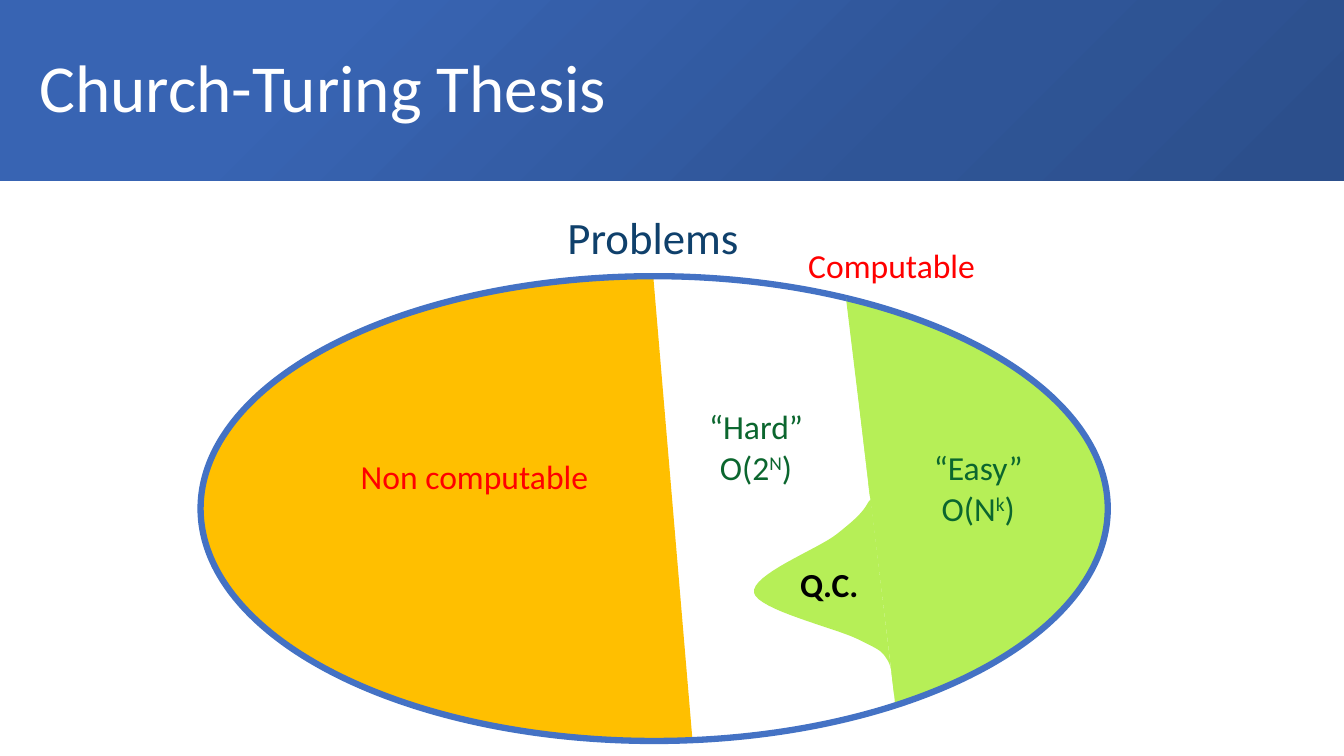
"""Build the Church-Turing thesis slide."""
import dataclasses

import lxml.etree
import pptx
import pptx.dml.color
import pptx.enum.shapes
import pptx.enum.text
import pptx.oxml.ns
import pptx.util

Pt = pptx.util.Pt
ALIGN = pptx.enum.text.PP_ALIGN
AUTO_SIZE = pptx.enum.text.MSO_AUTO_SIZE


@dataclasses.dataclass(frozen=True)
class Theme:
    """Hold the colours and type sizes."""
    font: str = "Calibri"
    title_size: int = 48
    heading_size: int = 32
    label_size: int = 24
    white: str = "FFFFFF"
    black: str = "000000"
    navy: str = "0F406B"
    red: str = "FF0000"
    green: str = "0B662E"
    outline: str = "4472C4"
    amber: str = "FFBF00"
    lime: str = "B6EF57"
    banner: tuple = ((9, "3864B3"), (23, "3864B3"), (69, "2F5597"), (97, "2C4F8C"))


def rgb(colour):
    """Turn a hex string into a colour."""
    return pptx.dml.color.RGBColor.from_string(colour)


def write(frame, text, *, font, size, colour, bold=False, align=ALIGN.LEFT, spacing=None):
    """Fill a frame line by line; text between carets is superscript."""
    for index, line in enumerate(text.split("\n")):
        paragraph = frame.add_paragraph() if index else frame.paragraphs[0]
        paragraph.alignment = align
        paragraph.line_spacing = spacing
        for part, words in enumerate(line.split("^")):
            run = paragraph.add_run()
            run.text = words
            run.font.name = font
            run.font.size = Pt(size)
            run.font.bold = bold
            run.font.color.rgb = rgb(colour)
            if part % 2:
                run._r.get_or_add_rPr().set("baseline", "30000")


def flatten_curve(start, curves, steps=16):
    """Return points along a chain of cubic curves."""
    points = [start]
    for first, second, end in curves:
        origin = points[-1]
        for step in range(1, steps + 1):
            t = step / steps
            weights = ((1 - t) ** 3, 3 * t * (1 - t) ** 2, 3 * t ** 2 * (1 - t), t ** 3)
            corners = (origin, first, second, end)
            points.append(tuple(sum(w * c[axis] for w, c in zip(weights, corners))
                                for axis in (0, 1)))
    return points


class SlideBuilder:
    """Draw styled elements on the current slide."""

    def __init__(self, slide, theme):
        """Keep the slide and its theme."""
        self.slide = slide
        self.theme = theme

    def title(self, text, width, height):
        """Format the title placeholder as a gradient banner."""
        heading = self.slide.shapes.title
        heading.left, heading.top = Pt(0), Pt(0)
        heading.width, heading.height = Pt(width), Pt(height)
        heading.fill.gradient()
        heading.fill.gradient_angle = 315
        qn = pptx.oxml.ns.qn
        stops = heading._element.spPr.find(".//" + qn("a:gsLst"))
        for stop in list(stops):
            stops.remove(stop)
        for position, colour in self.theme.banner:
            stop = lxml.etree.SubElement(stops, qn("a:gs"), pos=str(position * 1000))
            lxml.etree.SubElement(stop, qn("a:srgbClr"), val=colour)
        frame = heading.text_frame
        frame.auto_size = AUTO_SIZE.NONE
        frame.word_wrap = True
        frame.vertical_anchor = pptx.enum.text.MSO_ANCHOR.MIDDLE
        frame.margin_left = Pt(28)
        write(frame, text, font=self.theme.font, size=self.theme.title_size,
              colour=self.theme.white, spacing=0.9)

    def region(self, points, colour, edge=None):
        """Draw a filled outline through the points."""
        corners = [(Pt(x), Pt(y)) for x, y in points]
        builder = self.slide.shapes.build_freeform(*corners[0])
        builder.add_line_segments(corners[1:], close=True)
        area = builder.convert_to_shape()
        area.shadow.inherit = False
        area.fill.solid()
        area.fill.fore_color.rgb = rgb(colour)
        if edge:
            area.line.color.rgb = rgb(colour)
            area.line.width = Pt(edge)
        else:
            area.line.fill.background()

    def ellipse(self, left, top, width, height, weight):
        """Draw an unfilled ellipse."""
        oval = self.slide.shapes.add_shape(
            pptx.enum.shapes.MSO_SHAPE.OVAL, Pt(left), Pt(top), Pt(width), Pt(height))
        oval.shadow.inherit = False
        oval.fill.background()
        oval.line.color.rgb = rgb(self.theme.outline)
        oval.line.width = Pt(weight)

    def label(self, text, left, top, width, height, colour, size=None, wrap=False, **style):
        """Place a text label."""
        box = self.slide.shapes.add_textbox(Pt(left), Pt(top), Pt(width), Pt(height))
        box.text_frame.word_wrap = wrap
        box.text_frame.auto_size = AUTO_SIZE.SHAPE_TO_FIT_TEXT
        write(box.text_frame, text, font=self.theme.font,
              size=size or self.theme.label_size, colour=colour, **style)


EASY = [(640, 502.6), (699.8, 479.5), (743, 450), (775.4, 415.4), (791.3, 371.5),
        (787, 337), (765.4, 297.4), (730.8, 265), (698.4, 247), (662.4, 230.4),
        (604.8, 213.1)]
NON_COMPUTABLE = [
    (466.6, 196.6), (385.2, 201.6), (326.9, 213.8), (265, 232.6), (223.9, 252.7),
    (201.6, 267.8), (184.3, 281.5), (167.8, 301), (151.2, 323.3), (144.7, 344.9),
    (144, 362.9), (144.7, 380.2), (149.8, 395.3), (161.3, 417.6), (175, 435.6),
    (193, 452.2), (218.2, 469.4), (243.4, 482.4), (267.8, 494.6), (297.4, 504.7),
    (327.6, 512.6), (371.5, 521.3), (414, 527), (449.3, 529.2), (494.6, 527.8)]
QUANTUM_START = (604.8, 213.1)
QUANTUM_CURVES = [
    ((611.3, 265.7), (617, 317.5), (619.9, 342)),
    ((622.1, 366.5), (623.5, 352.8), (619.9, 359.3)),
    ((616.3, 365.8), (611.3, 370.8), (597.6, 381.6)),
    ((583.9, 392.4), (536.4, 410.4), (538.6, 423.4)),
    ((541.4, 435.6), (596.9, 448.6), (612.7, 456.5)),
    ((628.6, 464.4), (629.3, 464.4), (633.6, 470.9)),
    ((638.6, 478.1), (638.6, 496.8), (639.4, 502.6))]


def main():
    """Build and save the deck."""
    deck = pptx.Presentation()
    deck.slide_width, deck.slide_height = Pt(960), Pt(540)
    theme = Theme()
    page = SlideBuilder(deck.slides.add_slide(deck.slide_layouts[5]), theme)
    page.title("Church-Turing Thesis", 960, 129.3)
    page.region(EASY, theme.lime, edge=1)
    page.region(NON_COMPUTABLE, theme.amber)
    page.ellipse(143.3, 197.3, 648, 332, 4.5)
    page.label("Problems", 398.2, 146.2, 138.2, 46, theme.navy, size=theme.heading_size)
    page.label("Non computable", 250.6, 321.8, 184.3, 36, theme.red, wrap=True)
    page.label("Computable", 570.2, 171.4, 184.3, 36, theme.red, wrap=True)
    page.label("“Hard”\nO(2^N^)", 499, 286.6, 82, 65.5, theme.green, align=ALIGN.CENTER)
    page.label("“Easy”\nO(N^k^)", 659.5, 316, 78.5, 65.5, theme.green, align=ALIGN.CENTER)
    page.region(flatten_curve(QUANTUM_START, QUANTUM_CURVES), theme.lime)
    page.label("Q.C.", 564.5, 399.6, 56.9, 36, theme.black, bold=True)
    deck.save("out.pptx")


if __name__ == "__main__":
    main()
